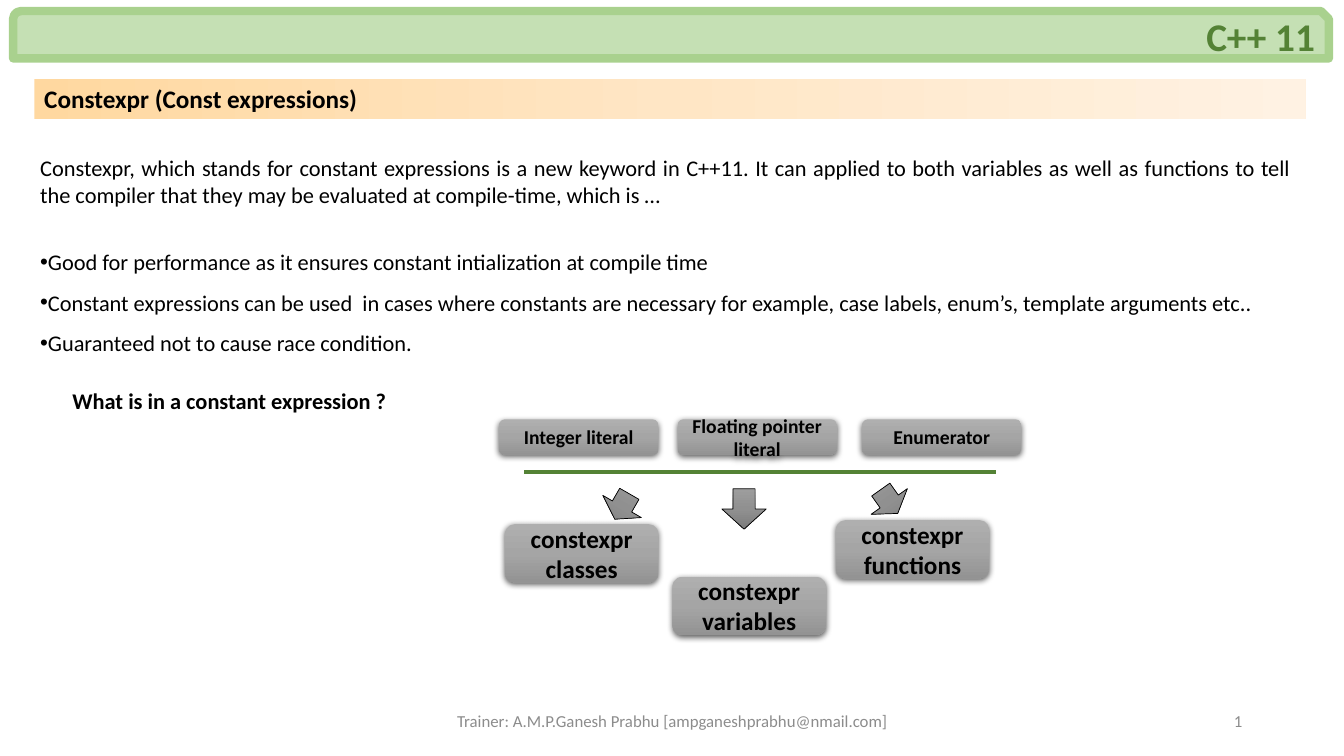
from copy import deepcopy

from lxml import etree
from pptx import Presentation
from pptx.dml.color import RGBColor
from pptx.enum import shapes, text
from pptx.oxml.ns import qn
from pptx.util import Inches, Pt

# Content: every box is left, top, width, height in inches
TITLE = "C++ 11"
HEADING = "Constexpr (Const expressions)"
INTRO = ("Constexpr, which stands for constant expressions is a new keyword in C++11. "
         "It can applied to both variables as well as functions to tell the compiler "
         "that they may be evaluated at compile-time, which is …")
BENEFITS = [
    "Good for performance as it ensures constant intialization at compile time",
    "Constant expressions can be used  in cases where constants are necessary "
    "for example, case labels, enum’s, template arguments etc..",
    "Guaranteed not to cause race condition.",
]
QUESTION = "What is in a constant expression ?"
LITERALS = [("Integer literal", 4.95), ("Floating pointer literal", 6.72), ("Enumerator", 8.55)]
RESULTS = [("constexpr classes", 5.01, 5.2), ("constexpr functions", 8.29, 5.16),
           ("constexpr variables", 6.67, 5.72)]
ARROWS = [((5.95, 4.88, 0.44, 0.29), 29.9), ((8.6, 4.83, 0.44, 0.29), 324.7),
          ((7.16, 4.85, 0.44, 0.4), 0)]
FOOTER = "Trainer: A.M.P.Ganesh Prabhu [ampganeshprabhu@nmail.com]"
PAGE_NUMBER = "1"

THEME = {
    "font": "Calibri",
    "ink": "000000", "muted": "8C8C8C", "green": "548235",
    "banner": "C5E0B4", "banner_edge": "A9D18E",
    "heading": ("FFD8A0", "FFE6C5", "FFF2E3"),
    "block": ("AFAFAF", "A5A5A5", "939393"),
    "arrow": ("9D9D9D", "909090", "7C7C7C"),
    "title_size": 28, "heading_size": 18, "body_size": 16, "label_size": 14, "footer_size": 12,
}
KIND = shapes.MSO_SHAPE
ALIGN = text.PP_ALIGN
MIDDLE = text.MSO_ANCHOR.MIDDLE

deck = Presentation()
deck.slide_width, deck.slide_height = Inches(13.33), Inches(7.5)
page = deck.slides.add_slide(deck.slide_layouts[6])


def color(name):
    return RGBColor.from_string(THEME[name])


def write(para, words, size, ink="ink", bold=False, **layout):
    span = para.add_run()
    span.text = words
    font = {"name": THEME["font"], "size": Pt(THEME[size]), "bold": bold}
    for target, values in ((span.font, font), (para, layout)):
        for name, value in values.items():
            setattr(target, name, value)
    span.font.color.rgb = color(ink)


def prepare(box, anchor):
    box.text_frame.word_wrap = True
    box.text_frame.vertical_anchor = anchor
    return box.text_frame.paragraphs[0]


def add_text(place, words, size, anchor=text.MSO_ANCHOR.TOP, **style):
    box = page.shapes.add_textbox(*map(Inches, place))
    write(prepare(box, anchor), words, size, **style)
    return box


def add_shape(kind, place):
    shape = page.shapes.add_shape(kind, *map(Inches, place))
    shape.shadow.inherit = False
    shape.line.fill.background()
    return shape


def fill_gradient(shape, colors, angle):
    shape.fill.gradient()
    shape.fill.gradient_angle = angle
    stop_list = shape._element.spPr.find(".//" + qn("a:gsLst"))
    stop_list.append(deepcopy(stop_list[0]))
    for stop, position, value in zip(shape.fill.gradient_stops, (0, 0.5, 1), THEME[colors]):
        stop.color.rgb = RGBColor.from_string(value)
        stop.position = position


def add_shadow(shape):
    effects = shape._element.spPr.find(qn("a:effectLst"))
    shadow = etree.SubElement(effects, qn("a:outerShdw"), blurRad=str(Pt(4.5)),
                              dist=str(Pt(1.5)), dir="5400000", algn="ctr", rotWithShape="0")
    shade = etree.SubElement(shadow, qn("a:srgbClr"), val=THEME["ink"])
    etree.SubElement(shade, qn("a:alpha"), val="63000")


def add_block(words, place, size):
    block = add_shape(KIND.ROUNDED_RECTANGLE, place)
    fill_gradient(block, "block", 270)
    add_shadow(block)
    write(prepare(block, MIDDLE), words, size, bold=True, alignment=ALIGN.CENTER)


# Title banner
banner = add_shape(KIND.SNIP_ROUND_RECTANGLE, (0.13, 0.11, 13.05, 0.47))
banner.fill.solid()
banner.fill.fore_color.rgb = color("banner")
banner.line.color.rgb = color("banner_edge")
banner.line.width = Pt(6)
write(prepare(banner, MIDDLE), TITLE, "title_size", ink="green", bold=True, alignment=ALIGN.RIGHT)

# Section heading
heading = add_shape(KIND.RECTANGLE, (0.34, 0.78, 12.61, 0.4))
fill_gradient(heading, "heading", 0)
write(prepare(heading, MIDDLE), HEADING, "heading_size", bold=True, alignment=ALIGN.LEFT)

# Introduction and bulleted benefits
body = add_text((0.3, 1.48, 12.61, 2.39), INTRO, "body_size", alignment=ALIGN.JUSTIFY)
for index, benefit in enumerate(BENEFITS):
    para = body.text_frame.add_paragraph()
    write(para, benefit, "body_size", alignment=ALIGN.JUSTIFY, line_spacing=1.5,
          space_before=Pt(0 if index else 19.5))
    settings = para._p.get_or_add_pPr()
    etree.SubElement(settings, qn("a:buFont"), typeface="Arial")
    etree.SubElement(settings, qn("a:buChar"), char="•")

add_text((0.62, 3.79, 5.35, 0.37), QUESTION, "body_size", bold=True)

# Diagram: literals, rule, arrows and results
for words, left in LITERALS:
    add_block(words, (left, 4.16, 1.58, 0.35), "label_size")

rule = page.shapes.add_connector(shapes.MSO_CONNECTOR.STRAIGHT,
                                 *map(Inches, (5.2, 4.68, 9.88, 4.68)))
rule.line.color.rgb = color("green")
rule.line.width = Pt(3)
etree.SubElement(rule._element.spPr, qn("a:effectLst"))

for place, turn in ARROWS:
    arrow = add_shape(KIND.DOWN_ARROW, place)
    arrow.rotation = turn
    fill_gradient(arrow, "arrow", 270)
    arrow.line.color.rgb = color("ink")
    arrow.line.width = Pt(0.5)

for words, left, top in RESULTS:
    add_block(words, (left, top, 1.52, 0.58), "heading_size")

# Footer
for words, left, width, side in ((FOOTER, 4.42, 4.5, ALIGN.CENTER),
                                 (PAGE_NUMBER, 9.42, 3, ALIGN.RIGHT)):
    add_text((left, 6.95, width, 0.4), words, "footer_size", MIDDLE, ink="muted", alignment=side)

deck.save("out.pptx")
